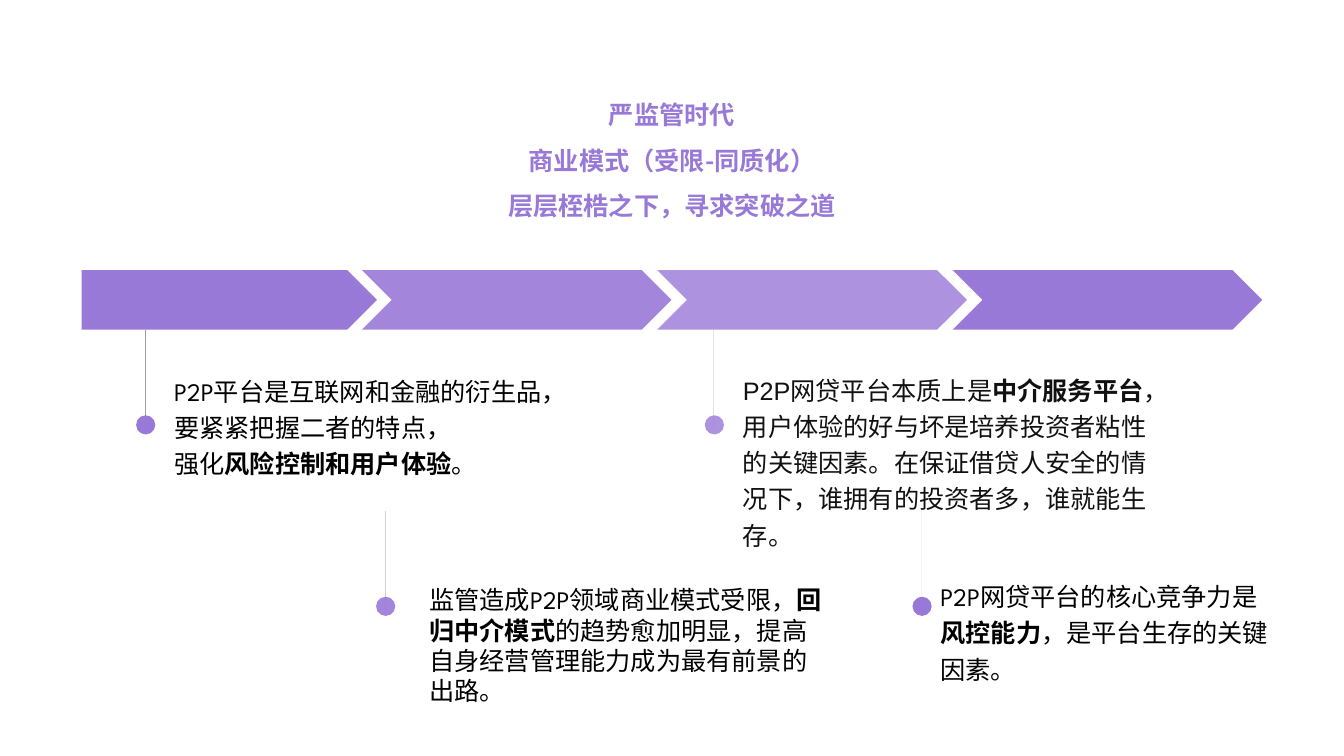
from lxml import etree
from pptx import Presentation
from pptx.dml.color import RGBColor
from pptx.enum.lang import MSO_LANGUAGE_ID
from pptx.enum.shapes import MSO_CONNECTOR, MSO_SHAPE
from pptx.enum.text import MSO_AUTO_SIZE, PP_ALIGN
from pptx.oxml.ns import qn
from pptx.util import Emu, Pt

CHEVRON = MSO_SHAPE.CHEVRON
PENTAGON = MSO_SHAPE.PENTAGON
OVAL = MSO_SHAPE.OVAL
STRAIGHT = MSO_CONNECTOR.STRAIGHT
CENTER = PP_ALIGN.CENTER
LEFT = PP_ALIGN.LEFT
GROW = MSO_AUTO_SIZE.SHAPE_TO_FIT_TEXT
CHINESE = MSO_LANGUAGE_ID.SIMPLIFIED_CHINESE

PURPLE = RGBColor(0x99, 0x79, 0xD8)
BLACK = RGBColor(0x00, 0x00, 0x00)
INK = RGBColor(0x11, 0x11, 0x11)
GRAYS = [
    RGBColor(0x9E, 0x9E, 0x9E),
    RGBColor(0xD2, 0xD2, 0xD2),
    RGBColor(0xE4, 0xE4, 0xE4),
    RGBColor(0xF6, 0xF6, 0xF6),
]
OPACITIES = [100, 90, 80, 100]

EMU_PER_PX = 9144
CHINESE_FONT = "Noto Sans CJK SC"
BODY_FONT = "League Spartan"


def px(length):
    return Emu(length * EMU_PER_PX)


class Canvas:
    text_size = Pt(18)
    line_width = Pt(0.5)
    dot_size = 19
    stem_length = 98

    def __init__(self, slide):
        self.shapes = slide.shapes

    def shape(self, kind, left, top, width, height, opacity, shapes=None):
        shape = (shapes or self.shapes).add_shape(
            kind, px(left), px(top), px(width), px(height))
        shape.shadow.inherit = False
        shape.fill.solid()
        shape.fill.fore_color.rgb = PURPLE
        shape.line.fill.background()
        if opacity < 100:
            color = shape._element.spPr.find(qn("a:solidFill")).find(qn("a:srgbClr"))
            etree.SubElement(color, qn("a:alpha"), val=str(opacity * 1000))

    def marker(self, x, top, color, opacity):
        shapes = self.shapes.add_group_shape().shapes
        stem = shapes.add_connector(
            STRAIGHT, px(x), px(top), px(x), px(top + self.stem_length))
        stem.line.color.rgb = color
        stem.line.width = self.line_width
        etree.SubElement(stem._element.spPr, qn("a:effectLst"))
        self.shape(OVAL, x - self.dot_size // 2, top + 85,
                   self.dot_size, self.dot_size, opacity, shapes)

    def text(self, left, top, width, height, paragraphs, spacing=1.2,
             font=BODY_FONT, color=BLACK, align=LEFT):
        box = self.shapes.add_textbox(px(left), px(top), px(width), px(height))
        frame = box.text_frame
        frame.word_wrap = True
        frame.auto_size = GROW
        for index, spans in enumerate(paragraphs):
            para = frame.paragraphs[0] if index == 0 else frame.add_paragraph()
            para.alignment = align
            para.line_spacing = spacing
            for words, bold in spans:
                span = para.add_run()
                span.text = words
                formats = {"name": font, "size": self.text_size, "bold": bold,
                           "language_id": CHINESE}
                for name, value in formats.items():
                    setattr(span.font, name, value)
                span.font.color.rgb = color
                etree.SubElement(span._r.get_or_add_rPr(), qn("a:ea"),
                                 typeface=CHINESE_FONT)


def main():
    deck = Presentation()
    deck.slide_width, deck.slide_height = px(1333), px(750)
    page = Canvas(deck.slides.add_slide(deck.slide_layouts[6]))

    page.shape(PENTAGON, 81, 268, 293, 59, OPACITIES[0])
    for index, opacity in enumerate(OPACITIES[1:]):
        page.shape(CHEVRON, 359 + 293 * index, 268, 307, 59, opacity)

    stems = [(144, 327), (382, 507), (708, 327), (914, 507)]
    for (x, top), color, opacity in zip(stems, GRAYS, OPACITIES):
        page.marker(x, top, color, opacity)

    page.text(163, 362, 393, 115, [
        [("P2P平台是互联网和金融的衍生品，要紧紧把握二者的特点，", False)],
        [("强化", False), ("风险控制和用户体验", True), ("。", False)],
    ])
    page.text(923, 566, 353, 115, [[
        ("P2P网贷平台的核心竞争力是", False),
        ("风控能力", True),
        ("，是平台生存的关键因素。", False),
    ]])
    page.text(416, 79, 501, 141, [
        [("严监管时代", True)],
        [("商业模式（受限-同质化）", True)],
        [("层层桎梏之下，寻求突破之道", True)],
    ], spacing=1.5, font=CHINESE_FONT, color=PURPLE, align=CENTER)
    page.text(416, 575, 413, 131, [[
        ("监管造成P2P领域商业模式受限，", False),
        ("回归中介模式", True),
        ("的趋势愈加明显，提高自身经营管理能力成为最有前景的出路。", False),
    ]], spacing=1.0)
    page.text(727, 361, 435, 188, [[
        ("P2P网贷平台本质上是", False),
        ("中介服务平台", True),
        ("，用户体验的好与坏是培养投资者粘性的关键因素。"
         "在保证借贷人安全的情况下，谁拥有的投资者多，谁就能生存。", False),
    ]], font="Arial", color=INK)

    deck.save("out.pptx")


if __name__ == "__main__":
    main()
